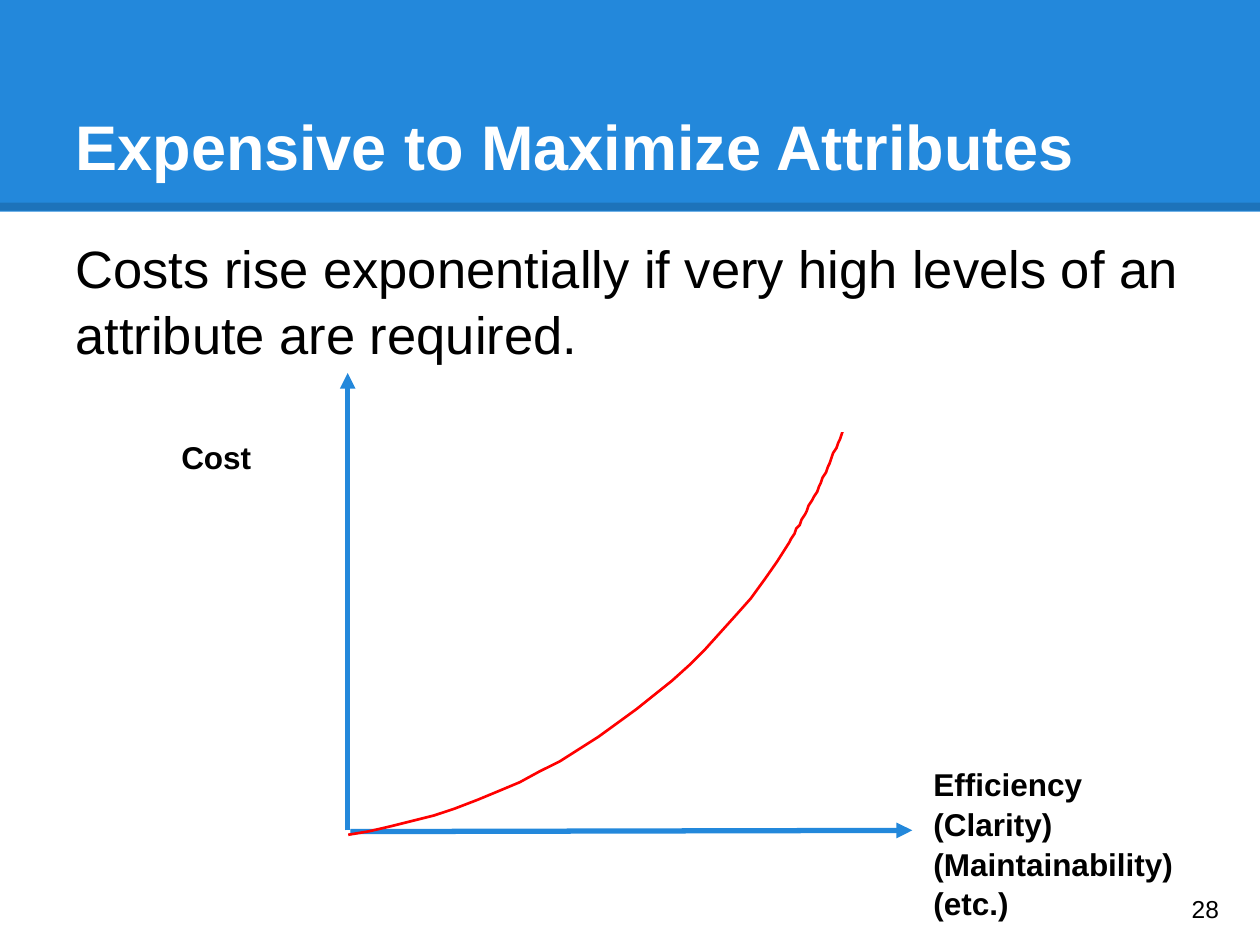
from lxml import etree
from pptx import Presentation
from pptx.dml.color import RGBColor
from pptx.enum import shapes, text
from pptx.oxml import ns
from pptx.util import Pt

COLORS = {
    "blue": "2388DB",
    "black": "000000",
    "white": "FFFFFF",
    "red": "FF0000",
}
FONT = "Arial"
INSET = 7.2
LINE_SPACING = 1.05
CURVE_STEPS = 24

TITLE = {"box": (36, 21.6, 672.5, 90), "lines": ["Expensive to Maximize Attributes"],
         "size": 36, "color": "white", "bold": True, "anchor": "BOTTOM", "spacing": 1}
BODY = {"box": (36, 126, 648, 391),
        "lines": ["Costs rise exponentially if very high levels of an attribute are required."],
        "size": 30}
LABELS = [
    {"box": (96.5, 241.9, 115.9, 56.2), "lines": ["Cost"], "size": 18, "bold": True},
    {"box": (526.3, 429.1, 182.2, 56.2),
     "lines": ["Efficiency", "(Clarity)", "(Maintainability)", "(etc.)"],
     "size": 18, "bold": True},
    {"box": (673.9, 499, 43.2, 41), "lines": ["28"], "size": 14, "anchor": "MIDDLE", "spacing": 1},
]
BAND = (0, 0, 720, 121)
DIVIDER = ((0, 118.1), (720, 118.1))
AXES = [((198.7, 474.5), (198.7, 213.1)), ((200.2, 475.2), (521.3, 474.5))]
CURVE_START = (198.7, 476.6)
CURVE_SEGMENTS = [
    ((298.1, 463.7), (398.2, 396), (450.7, 310.3)),
    ((463, 289.4), (473.8, 267.8), (481.7, 244.8)),
    ((485.3, 235.4), (484.6, 224.6), (488.9, 215.3)),
]
CURVE_END_COVER = (476.6, 198.7, 59.8, 47.5)


def rgb(name):
    return RGBColor.from_string(COLORS[name])


def place(shape, box):
    shape.left, shape.top, shape.width, shape.height = map(Pt, box)


def write(shape, content):
    frame = shape.text_frame
    frame.word_wrap = True
    frame.auto_size = text.MSO_AUTO_SIZE.NONE
    frame.vertical_anchor = text.MSO_ANCHOR[content.get("anchor", "TOP")]
    frame.margin_left = frame.margin_right = Pt(INSET)
    frame.margin_top = frame.margin_bottom = Pt(INSET)
    for index, line in enumerate(content["lines"]):
        paragraph = frame.add_paragraph() if index else frame.paragraphs[0]
        properties = paragraph._p.get_or_add_pPr()
        properties.set("marL", "0")
        properties.set("indent", "0")
        etree.SubElement(properties, ns.qn("a:buNone"))
        paragraph.alignment = text.PP_ALIGN.LEFT
        paragraph.line_spacing = content.get("spacing", LINE_SPACING)
        paragraph.space_before = paragraph.space_after = Pt(0)
        run = paragraph.add_run()
        run.text = line
        run.font.name = FONT
        run.font.size = Pt(content["size"])
        run.font.bold = content.get("bold", False)
        run.font.color.rgb = rgb(content.get("color", "black"))


def add_rectangle(slide, box, color, line_width=0):
    shape = slide.shapes.add_shape(shapes.MSO_SHAPE.RECTANGLE, *map(Pt, box))
    shape.shadow.inherit = False
    shape.fill.solid()
    shape.fill.fore_color.rgb = rgb(color)
    if line_width:
        shape.line.color.rgb = rgb(color)
        shape.line.width = Pt(line_width)
    else:
        shape.line.fill.background()
    return shape


def add_line(slide, ends, color, width):
    (x1, y1), (x2, y2) = ends
    connector = slide.shapes.add_connector(
        shapes.MSO_CONNECTOR.STRAIGHT, Pt(x1), Pt(y1), Pt(x2), Pt(y2))
    connector.line.color.rgb = rgb(color)
    connector.line.width = Pt(width)
    etree.SubElement(connector._element.spPr, ns.qn("a:effectLst"))
    return connector


def bezier(points, t):
    weights = ((1 - t) ** 3, 3 * t * (1 - t) ** 2, 3 * t ** 2 * (1 - t), t ** 3)
    return tuple(sum(w * p[axis] for w, p in zip(weights, points)) for axis in (0, 1))


def add_curve(slide):
    points, start = [], CURVE_START
    for segment in CURVE_SEGMENTS:
        controls = (start, *segment)
        points += [bezier(controls, step / CURVE_STEPS) for step in range(1, CURVE_STEPS + 1)]
        start = segment[-1]
    builder = slide.shapes.build_freeform(*CURVE_START, scale=Pt(1))
    builder.add_line_segments(points, close=False)
    curve = builder.convert_to_shape()
    curve.shadow.inherit = False
    curve.fill.background()
    curve.line.color.rgb = rgb("red")
    curve.line.width = Pt(1.5)


def main():
    presentation = Presentation()
    presentation.slide_width, presentation.slide_height = Pt(720), Pt(540)
    slide = presentation.slides.add_slide(presentation.slide_layouts[1])

    band = add_rectangle(slide, BAND, "blue")
    divider = add_line(slide, DIVIDER, "black", 4.5)
    divider_color = divider.line._ln.find(".//" + ns.qn("a:srgbClr"))
    etree.SubElement(divider_color, ns.qn("a:alpha"), val="15000")
    for index, shape in enumerate((band, divider), start=2):
        slide.shapes._spTree.insert(index, shape._element)

    for shape, content in zip(slide.placeholders, (TITLE, BODY)):
        place(shape, content["box"])
        write(shape, content)

    for ends in AXES:
        axis = add_line(slide, ends, "blue", 3)
        etree.SubElement(axis.line._ln, ns.qn("a:tailEnd"), type="triangle", w="med", len="med")

    add_curve(slide)
    add_rectangle(slide, CURVE_END_COVER, "white", 1.5)

    for label in LABELS:
        write(slide.shapes.add_textbox(*map(Pt, label["box"])), label)

    presentation.save("out.pptx")


if __name__ == "__main__":
    main()
